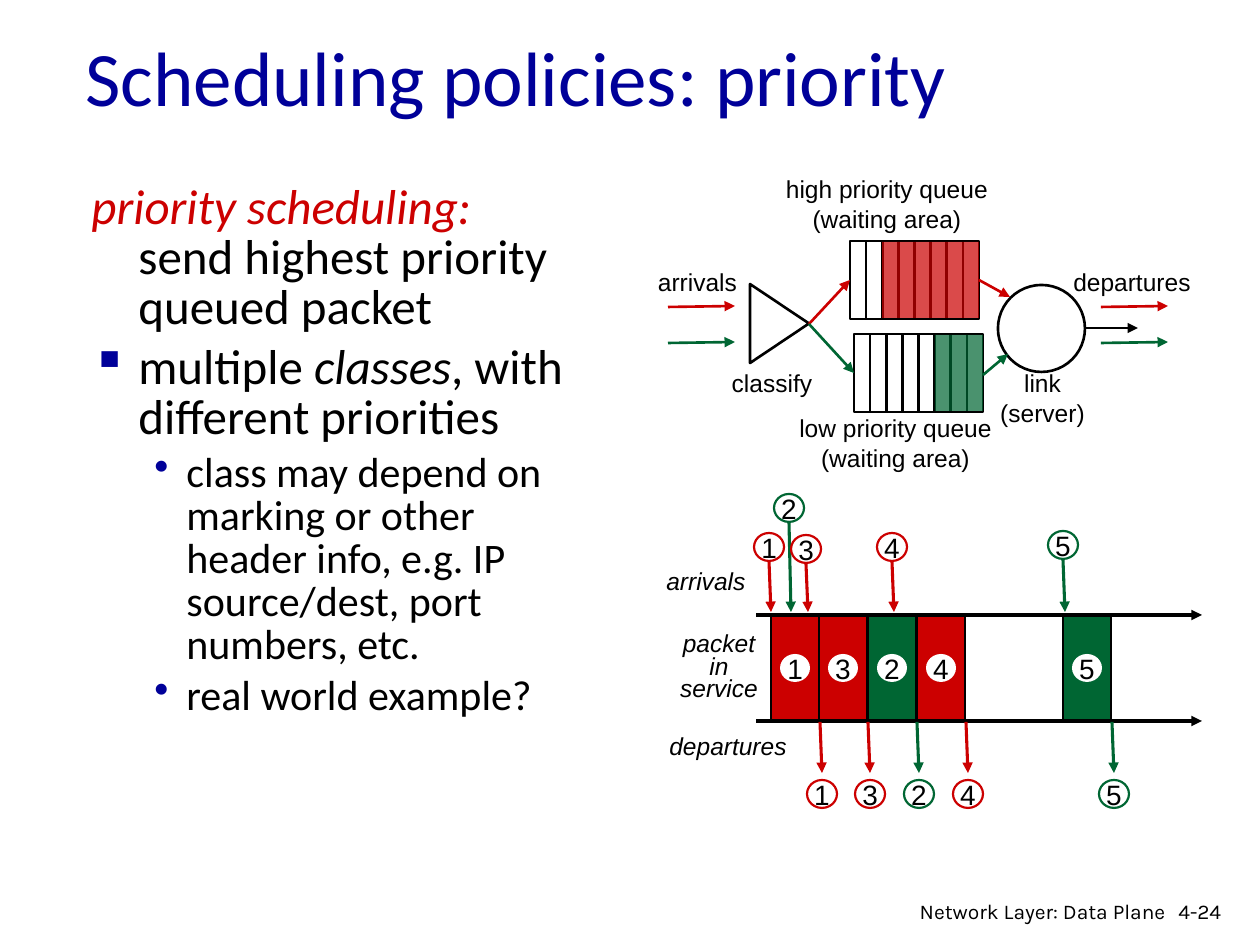
from lxml.etree import SubElement
from pptx import Presentation
from pptx.dml.color import RGBColor
from pptx.enum.shapes import MSO_CONNECTOR, MSO_SHAPE
from pptx.enum.text import MSO_ANCHOR, PP_ALIGN
from pptx.oxml.ns import qn
from pptx.util import Pt

EMU_PER_PX = 914400 / 126

NAVY = RGBColor(0x00, 0x00, 0x99)
RED = RGBColor(0xCC, 0x00, 0x00)
GREEN = RGBColor(0x00, 0x66, 0x33)
BLACK = RGBColor(0x00, 0x00, 0x00)
WHITE = RGBColor(0xFF, 0xFF, 0xFF)

# Packet number, colour, centre of arrival circle, time slot of service
PACKETS = [
    (1, RED, 769, 547, 0),
    (2, GREEN, 789, 508, 2),
    (3, RED, 806, 549, 1),
    (4, RED, 892, 547, 3),
    (5, GREEN, 1063, 545, 6),
]

# Level, bullet, text parts as (text, colour, italic)
BODY = [
    (0, None, [("priority scheduling: ", RED, True),
               ("send highest priority queued packet", BLACK, False)]),
    (0, "▪", [("multiple ", BLACK, False), ("classes", BLACK, True),
              (", with different priorities", BLACK, False)]),
    (1, "•", [("class may depend on marking or other header info, e.g. IP "
               "source/dest, port numbers, etc.", BLACK, False)]),
    (1, "•", [("real world example?", BLACK, False)]),
]
# Size, space before, left margin, indent for each level
LEVELS = [(28, 6, 47, -47), (24, 5, 95, -32)]


def px(length):
    return round(length * EMU_PER_PX)


def set_font(font, name, size, color, italic=False):
    font.name = name
    font.size = Pt(size)
    font.color.rgb = color
    font.italic = italic


def add_shape(slide, kind, left, top, width, height, fill=None, line=None,
              line_width=1.5, alpha=None):
    shape = slide.shapes.add_shape(kind, px(left), px(top), px(width), px(height))
    shape.shadow.inherit = False
    if fill is None:
        shape.fill.background()
    else:
        shape.fill.solid()
        shape.fill.fore_color.rgb = fill
    if alpha is not None:
        color = shape.fill._xPr.find(".//" + qn("a:srgbClr"))
        SubElement(color, qn("a:alpha"), val=str(alpha * 1000))
    if line is None:
        shape.line.fill.background()
    else:
        shape.line.color.rgb = line
        shape.line.width = Pt(line_width)
    return shape


def add_line(slide, x1, y1, x2, y2, color=BLACK, width=1.5, arrow=True):
    connector = slide.shapes.add_connector(
        MSO_CONNECTOR.STRAIGHT, px(x1), px(y1), px(x2), px(y2))
    connector.line.color.rgb = color
    connector.line.width = Pt(width)
    if arrow:
        SubElement(connector.line._get_or_add_ln(), qn("a:tailEnd"), type="triangle")
    SubElement(connector._element.spPr, qn("a:effectLst"))


def add_label(slide, left, top, width, height, text, align=PP_ALIGN.CENTER,
              font="Arial", size=14, italic=False, wrap=False, spacing=None):
    box = slide.shapes.add_textbox(px(left), px(top), px(width), px(height))
    frame = box.text_frame
    frame.word_wrap = wrap
    frame.text = text
    for paragraph in frame.paragraphs:
        paragraph.alignment = align
        if spacing:
            paragraph.line_spacing = Pt(spacing)
        set_font(paragraph.runs[0].font, font, size, BLACK, italic)


def add_number(slide, number, center_x, center_y, line=None):
    circle = add_shape(slide, MSO_SHAPE.OVAL, center_x - 15, center_y - 14, 30, 28,
                       WHITE, line, 1.25)
    frame = circle.text_frame
    frame.margin_left = frame.margin_right = frame.margin_top = frame.margin_bottom = 0
    frame.word_wrap = False
    frame.vertical_anchor = MSO_ANCHOR.MIDDLE
    frame.text = str(number)
    frame.paragraphs[0].alignment = PP_ALIGN.CENTER
    set_font(frame.paragraphs[0].runs[0].font, "Arial", 16, BLACK)


def add_queue(slide, left, top, first_filled, color):
    width, height, cells = 129, 78, 8
    add_shape(slide, MSO_SHAPE.RECTANGLE, left, top, width, height, line=BLACK)
    for cell in range(1, cells):
        x = left + cell * width / cells
        add_line(slide, x, top + 1, x, top + height, arrow=False)
    filled_left = round(first_filled * width / cells)
    add_shape(slide, MSO_SHAPE.RECTANGLE, left + filled_left, top + 1,
              width - filled_left, height - 2, fill=color, alpha=71)


def add_title(slide):
    title = slide.shapes.title
    title.left, title.top, title.width, title.height = px(73), px(-3), px(1071), px(158)
    title.text_frame.text = "Scheduling policies: priority"
    title.text_frame.vertical_anchor = MSO_ANCHOR.MIDDLE
    paragraph = title.text_frame.paragraphs[0]
    paragraph.alignment = PP_ALIGN.LEFT
    set_font(paragraph.runs[0].font, "Calibri", 44, NAVY)


def add_body(slide):
    box = slide.shapes.add_textbox(px(79), px(178), px(510), px(703))
    frame = box.text_frame
    frame.word_wrap = True
    for index, (level, bullet, parts) in enumerate(BODY):
        paragraph = frame.add_paragraph() if index else frame.paragraphs[0]
        size, before, margin, indent = LEVELS[level]
        paragraph.level = level
        paragraph.line_spacing = 0.85
        paragraph.space_before = Pt(before if index else 0)
        properties = paragraph._p.get_or_add_pPr()
        properties.set("marL", str(px(margin)))
        properties.set("indent", str(px(indent)))
        if bullet:
            bullet_color = SubElement(properties, qn("a:buClr"))
            SubElement(bullet_color, qn("a:srgbClr"), val=str(NAVY))
            SubElement(properties, qn("a:buChar"), char=bullet)
        for text, color, italic in parts:
            run = paragraph.add_run()
            run.text = text
            set_font(run.font, "Calibri", size, color, italic)


def add_queue_diagram(slide):
    add_queue(slide, 854, 334, 5, GREEN)
    add_queue(slide, 850, 241, 2, RED)

    # Classifier and link
    classifier = add_shape(slide, MSO_SHAPE.ISOSCELES_TRIANGLE, 740, 294, 79, 59, line=BLACK)
    classifier.rotation = 90
    add_shape(slide, MSO_SHAPE.OVAL, 998, 285, 87, 87, line=BLACK)

    # Flows
    for left in (668, 1101):
        add_line(slide, left, 307, left + 67, 306, RED)
        add_line(slide, left, 343, left + 67, 342, GREEN)
    add_line(slide, 809, 324, 850, 280, RED)
    add_line(slide, 809, 324, 854, 373, GREEN)
    add_line(slide, 979, 280, 1010, 297, RED)
    add_line(slide, 983, 375, 1008, 354, GREEN)
    add_line(slide, 1084, 328, 1138, 328)

    add_label(slide, 769, 168, 236, 72, "high priority queue\n(waiting area)")
    add_label(slide, 786, 407, 219, 72, "low priority queue\n(waiting area)")
    add_label(slide, 645, 261, 105, 43, "arrivals")
    add_label(slide, 718, 362, 108, 43, "classify")
    add_label(slide, 1060, 261, 144, 43, "departures")
    add_label(slide, 984, 362, 117, 72, "link\n(server)")


def add_timeline(slide):
    for y in (615, 721):
        add_line(slide, 756, y, 1202, y, width=2)

    for number, color, arrival_x, arrival_y, slot in PACKETS:
        # Arrival
        add_line(slide, arrival_x, arrival_y + 14, arrival_x + 2, 612, color, 1.75)
        add_number(slide, number, arrival_x, arrival_y, color)
        # Service, with three slots to 146 px
        left = 771 + slot * 146 // 3
        add_shape(slide, MSO_SHAPE.RECTANGLE, left, 616, 48, 104, color, BLACK, 1.25)
        add_number(slide, number, left + 24, 668)
        # Departure
        end = left + 49
        add_line(slide, end, 722, end + 2, 773, color, 1.75)
        add_number(slide, number, end + 2, 794, color)

    add_label(slide, 654, 560, 111, 43, "arrivals", PP_ALIGN.LEFT, italic=True)
    add_label(slide, 657, 725, 150, 43, "departures", PP_ALIGN.LEFT, italic=True)
    add_label(slide, 660, 629, 118, 82, "packet in service", italic=True,
              wrap=True, spacing=12.8)


def main():
    presentation = Presentation()
    presentation.slide_width, presentation.slide_height = px(1260), px(945)
    slide = presentation.slides.add_slide(presentation.slide_layouts[5])
    add_title(slide)
    add_body(slide)
    add_queue_diagram(slide)
    add_timeline(slide)
    # Footer
    add_label(slide, 1166, 892, 77, 38, "4-24", PP_ALIGN.LEFT, "Karla", 12, wrap=True)
    add_label(slide, 878, 892, 300, 33, "Network Layer: Data Plane", PP_ALIGN.RIGHT,
              "Karla", 12, wrap=True)
    presentation.save("out.pptx")


if __name__ == "__main__":
    main()
